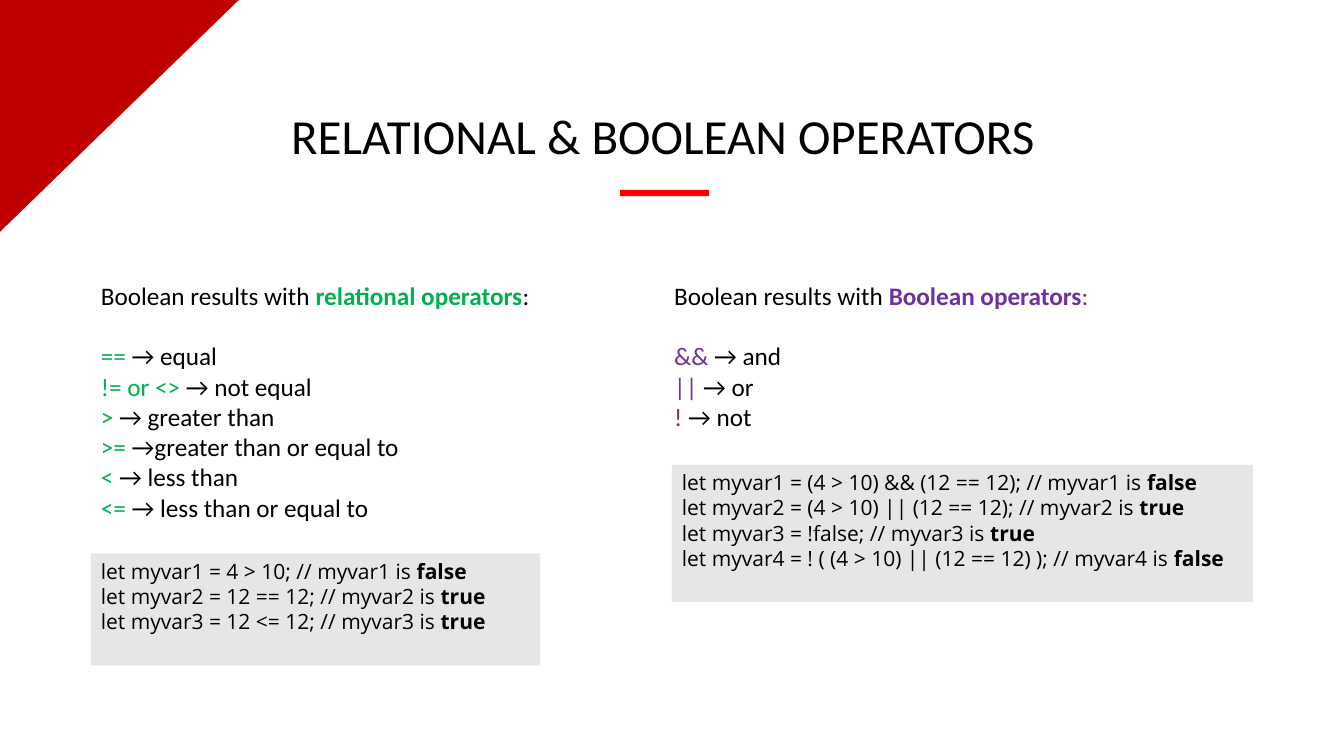
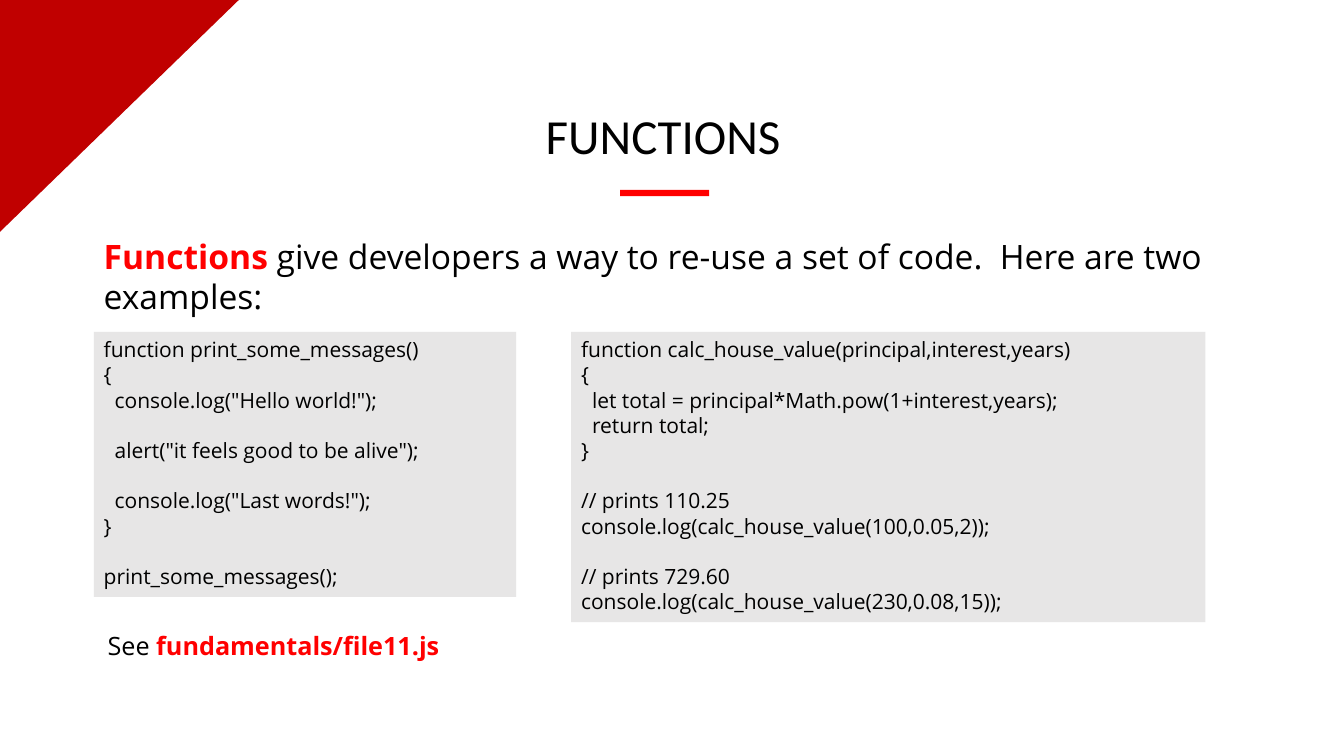
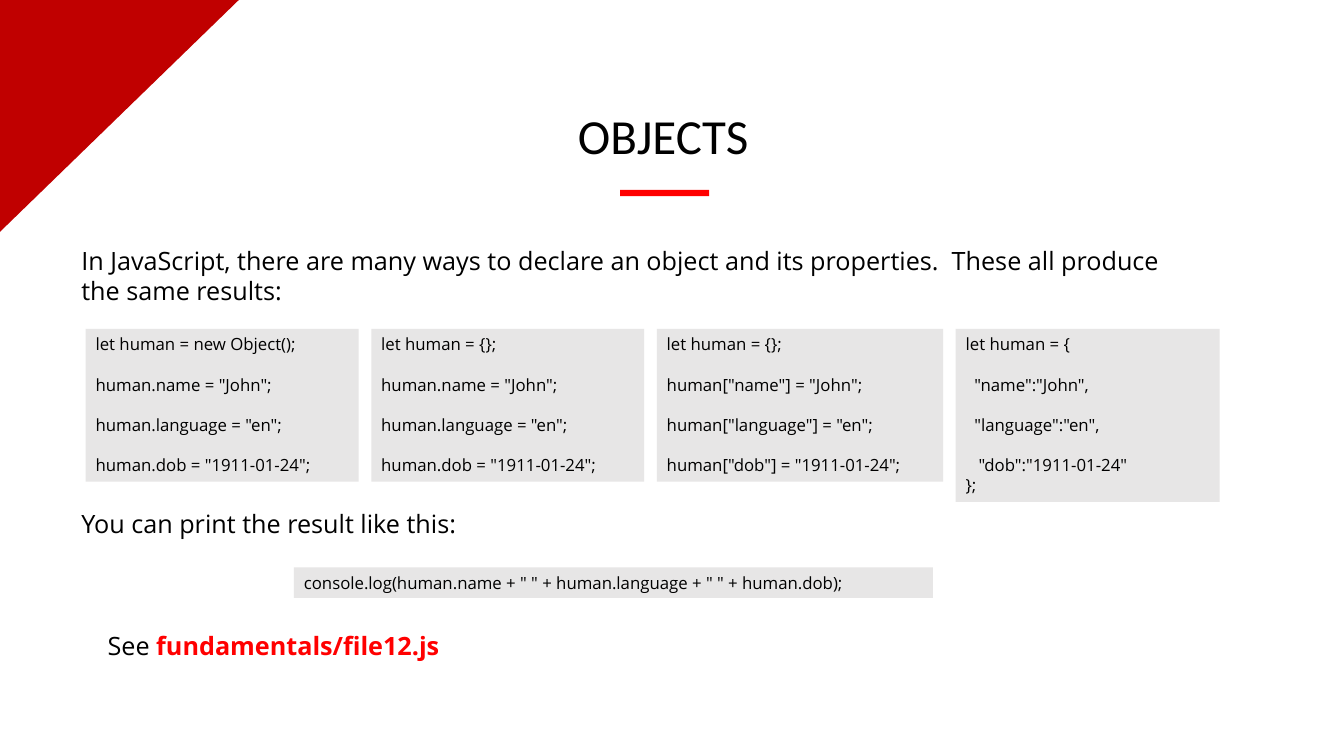
import pptx
import pptx.dml.color
import pptx.enum.shapes
import pptx.enum.text
import pptx.util

Pt = pptx.util.Pt
RECTANGLE = pptx.enum.shapes.MSO_SHAPE.RECTANGLE
ALIGN = pptx.enum.text.PP_ALIGN


class Theme:
    text, code = "Calibri", "Open Sans"
    corner, accent, panel = "C00000", "FF0000", "E7E6E6"
    title, lead, body, listing, small = 35, 24, 18, 15, 12
    leading = 1.2
    space_width = 0.26
    # Run formats: colour and bold
    formats = {
        "plain": ("000000", False),
        "strong": ("000000", True),
        "key": (accent, True),
        "relational": ("00B050", False),
        "relational strong": ("00B050", True),
        "boolean": ("7030A0", False),
        "boolean strong": ("7030A0", True),
    }
    frame = {
        "word_wrap": True,
        "auto_size": pptx.enum.text.MSO_AUTO_SIZE.NONE,
        "vertical_anchor": pptx.enum.text.MSO_ANCHOR.TOP,
    }


def add_block(slide, kind, box, color, rotation=0):
    """Add a plain filled shape; box is left, top, width, height in points."""
    block = slide.shapes.add_shape(kind, *map(Pt, box))
    block.shadow.inherit = False
    block.fill.solid()
    block.fill.fore_color.rgb = pptx.dml.color.RGBColor.from_string(color)
    block.line.fill.background()
    block.rotation = rotation
    return block


def add_text(slide, box, size, lines, font=Theme.code, panel=None, align=ALIGN.LEFT):
    """Write lines of runs; an empty line becomes spacing, leading spaces an indent."""
    holder = (add_block(slide, RECTANGLE, box, panel) if panel
              else slide.shapes.add_textbox(*map(Pt, box)))
    frame = holder.text_frame
    for name, value in Theme.frame.items():
        setattr(frame, name, value)
    line_height = size * Theme.leading
    paragraph, gap = frame.paragraphs[0], 0
    for number, line in enumerate(lines):
        if not line:
            gap += line_height
            continue
        if number:
            paragraph = frame.add_paragraph()
        runs = [(line, "plain")] if isinstance(line, str) else line
        first = runs[0][0]
        indent = (len(first) - len(first.lstrip())) * Theme.space_width * size
        paragraph._p.get_or_add_pPr().set("marL", str(int(Pt(indent))))
        layout = {"alignment": align, "line_spacing": Pt(line_height),
                  "space_before": Pt(gap)}
        for name, value in layout.items():
            setattr(paragraph, name, value)
        for position, (words, style) in enumerate(runs):
            run = paragraph.add_run()
            run.text = words if position else words.lstrip()
            color, bold = Theme.formats[style]
            for name, value in {"name": font, "size": Pt(size), "bold": bold}.items():
                setattr(run.font, name, value)
            run.font.color.rgb = pptx.dml.color.RGBColor.from_string(color)
        gap = 0


deck = pptx.Presentation()
deck.slide_width, deck.slide_height = Pt(960), Pt(540)

# Shared parts: corner, title and accent bar
slides = []
for heading in ("RELATIONAL & BOOLEAN OPERATORS", "FUNCTIONS", "OBJECTS"):
    slide = deck.slides.add_slide(deck.slide_layouts[6])
    add_block(slide, pptx.enum.shapes.MSO_SHAPE.RIGHT_TRIANGLE,
              (2.5, -2.5, 165.6, 170.6), Theme.corner, rotation=90)
    add_block(slide, RECTANGLE, (443, 135.6, 63.6, 4.6), Theme.accent)
    add_text(slide, (137.5, 72, 672.5, 49.7), Theme.title, [heading],
             font=Theme.text, align=ALIGN.CENTER)
    slides.append(slide)
operators, functions, objects = slides

# Operators: one list and one listing for each family
families = [
    (65, 204, "relational",
     [("relational operators", "relational strong"), (":", "plain")],
     [("==", " → equal"), ("!= or <>", " → not equal"), (">", " → greater than"),
      (">=", " →greater than or equal to"), ("<", " → less than"),
      ("<=", " → less than or equal to")],
     (65, 395.3, 321, 80),
     [("let myvar1 = 4 > 10; // myvar1 is ", "false"),
      ("let myvar2 = 12 == 12; // myvar2 is ", "true"),
      ("let myvar3 = 12 <= 12; // myvar3 is ", "true")]),
    (474.5, 117, "boolean",
     [("Boolean operators", "boolean strong"), (":", "boolean")],
     [("&&", " → and"), ("||", " → or"), ("!", " → not")],
     (480, 332, 415, 98),
     [("let myvar1 = (4 > 10) && (12 == 12); // myvar1 is ", "false"),
      ("let myvar2 = (4 > 10) || (12 == 12); // myvar2 is ", "true"),
      ("let myvar3 = !false; // myvar3 is ", "true"),
      ("let myvar4 = ! ( (4 > 10) || (12 == 12) ); // myvar4 is ", "false")]),
]
for left, height, style, family, meanings, code_box, statements in families:
    intro = [("Boolean results with ", "plain"), *family]
    symbols = [[(symbol, style), (meaning, "plain")] for symbol, meaning in meanings]
    add_text(operators, (left, 196.6, 379, height), Theme.body,
             [intro, "", *symbols], font=Theme.text)
    add_text(operators, code_box, Theme.listing,
             [[(code, "plain"), (result, "strong")] for code, result in statements],
             panel=Theme.panel)

# Functions: introduction and two listings
add_text(functions, (67, 165, 813, 65.5), Theme.lead, [[
    ("Functions", "key"),
    (" give developers a way to re-use a set of code.  Here are two examples:", "plain")]])
function_listings = [
    ((67, 237, 301.7, 189.4), [
        "function print_some_messages()",
        "{",
        '  console.log("Hello world!");',
        "",
        '  alert("it feels good to be alive");',
        "",
        '  console.log("Last words!");',
        "}",
        "",
        "print_some_messages();"]),
    ((408, 237, 453, 207.4), [
        "function calc_house_value(principal,interest,years)",
        "{",
        "  let total = principal*Math.pow(1+interest,years);",
        "  return total;",
        "}",
        "",
        "// prints 110.25",
        "console.log(calc_house_value(100,0.05,2));",
        "",
        "// prints 729.60",
        "console.log(calc_house_value(230,0.08,15));"]),
]
for box, code in function_listings:
    add_text(functions, box, Theme.listing, code, panel=Theme.panel)

# Objects: four declarations side by side, then the printing statement
add_text(objects, (51, 171.4, 785, 51), Theme.body, [
    "In JavaScript, there are many ways to declare an object and its properties.  "
    "These all produce the same results:"])
dotted = ["", 'human.name = "John";', "", 'human.language = "en";', "",
          'human.dob = "1911-01-24";']
declarations = [
    (195, 109, ["let human = new Object();", *dotted]),
    (195, 109, ["let human = {};", *dotted]),
    (204.5, 109, ["let human = {};", "", 'human["name"] = "John";', "",
                  'human["language"] = "en";', "", 'human["dob"] = "1911-01-24";']),
    (188.5, 123.6, ["let human = {", "", '  "name":"John",', "", '  "language":"en",', "",
                    '   "dob":"1911-01-24"', "};"]),
]
left, column_gap = 61.2, 9
for width, height, code in declarations:
    add_text(objects, (left, 235, width, height), Theme.small, code, panel=Theme.panel)
    left += width + column_gap
add_text(objects, (51, 359.3, 785, 29), Theme.body, ["You can print the result like this:"])
add_text(objects, (210, 405.3, 456.5, 21.8), Theme.small,
         ['console.log(human.name + " " + human.language + " " + human.dob);'],
         panel=Theme.panel)

# Sample file references
for slide, sample in ((functions, "file11.js"), (objects, "file12.js")):
    add_text(slide, (69.8, 446.4, 532, 29), Theme.body,
             [[("See ", "plain"), (f"fundamentals/{sample}", "key")]])

deck.save("out.pptx")
